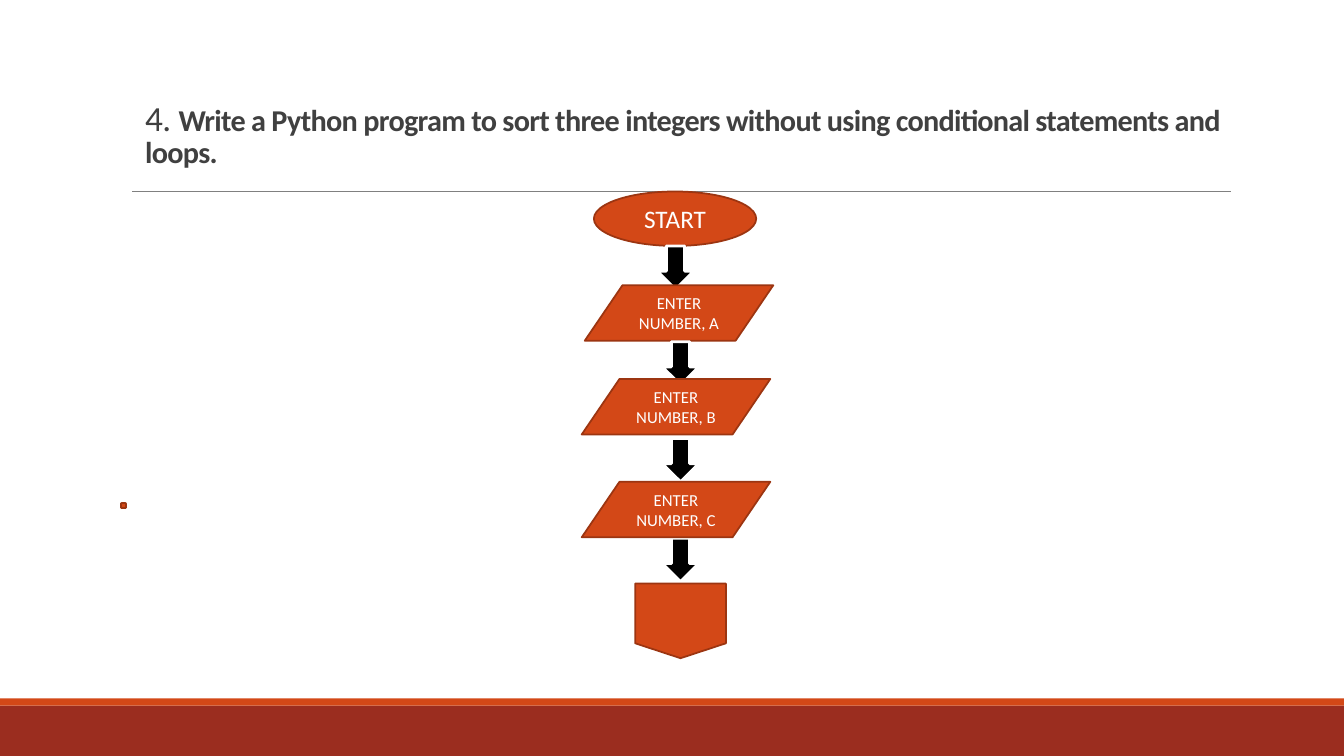
from dataclasses import dataclass
from lxml import etree
from pptx import Presentation
from pptx.dml.color import RGBColor
from pptx.enum.shapes import MSO_CONNECTOR, MSO_SHAPE
from pptx.enum.text import MSO_ANCHOR, MSO_AUTO_SIZE, PP_ALIGN
from pptx.oxml.ns import qn
from pptx.util import Inches, Pt

RECT = MSO_SHAPE.RECTANGLE
OVAL = MSO_SHAPE.OVAL
ARROW = MSO_SHAPE.DOWN_ARROW
INPUT = MSO_SHAPE.FLOWCHART_DATA
PAGE = MSO_SHAPE.FLOWCHART_OFFPAGE_CONNECTOR
DOT = MSO_SHAPE.FLOWCHART_ALTERNATE_PROCESS
STRAIGHT = MSO_CONNECTOR.STRAIGHT
LEFT, CENTER = PP_ALIGN.LEFT, PP_ALIGN.CENTER
BOTTOM, MIDDLE = MSO_ANCHOR.BOTTOM, MSO_ANCHOR.MIDDLE
NO_FIT = MSO_AUTO_SIZE.NONE


@dataclass(frozen=True)
class Theme:
    font: str = "Calibri"
    fill: str = "D34817"
    edge: str = "9C3511"
    foot: str = "9B2D1F"
    rule: str = "808080"
    title: str = "404040"
    black: str = "000000"
    white: str = "FFFFFF"
    lead: float = 25.2
    head: float = 21.6
    big: float = 18
    small: float = 12


@dataclass(frozen=True)
class Style:
    fill: str
    edge: str = ""
    width: float = 0


@dataclass(frozen=True)
class Node:
    kind: int
    left: float
    top: float
    width: float
    height: float
    style: Style
    text: str = ""
    size: float = 0


THEME = Theme()
BOX = Style(THEME.fill, THEME.edge, 1.25)
FLOW = Style(THEME.black, THEME.white, 2)


def color(code: str) -> RGBColor:
    return RGBColor.from_string(code)


def draw(slide, node: Node) -> None:
    shape = slide.shapes.add_shape(
        node.kind, Inches(node.left), Inches(node.top),
        Inches(node.width), Inches(node.height))
    shape.shadow.inherit = False
    shape.fill.solid()
    shape.fill.fore_color.rgb = color(node.style.fill)
    if node.style.edge:
        shape.line.color.rgb = color(node.style.edge)
        shape.line.width = Pt(node.style.width)
    else:
        shape.line.fill.background()
    if node.text:
        frame = shape.text_frame
        frame.word_wrap = True
        frame.vertical_anchor = MIDDLE
        para = frame.paragraphs[0]
        para.text = node.text
        para.alignment = CENTER
        para.font.name = THEME.font
        para.font.size = Pt(node.size)
        para.font.color.rgb = color(THEME.white)


def draw_rule(slide) -> None:
    rule = slide.shapes.add_connector(
        STRAIGHT, Inches(1.31), Inches(1.9), Inches(12.21), Inches(1.9))
    rule.line.color.rgb = color(THEME.rule)
    rule.line.width = Pt(0.5)
    etree.SubElement(rule._element.spPr, qn("a:effectLst"))


def set_title(slide) -> None:
    title = slide.shapes.title
    title.left, title.top = Inches(1.34), Inches(0.69)
    title.width, title.height = Inches(11), Inches(1.04)
    frame = title.text_frame
    frame.word_wrap = True
    frame.auto_size = NO_FIT
    frame.vertical_anchor = BOTTOM
    para = frame.paragraphs[0]
    para.alignment = LEFT
    para.line_spacing = 0.85
    parts = (
        ("4. ", THEME.lead, False),
        ("Write a Python program to sort three integers without using "
         "conditional statements and loops.", THEME.head, True),
    )
    for text, size, bold in parts:
        run = para.add_run()
        run.text = text
        run.font.name = THEME.font
        run.font.size = Pt(size)
        run.font.bold = bold
        run.font.color.rgb = color(THEME.title)
        run._r.get_or_add_rPr().set("spc", "-50")  # tight letters


def arrow(left: float, top: float) -> Node:
    return Node(ARROW, left, top, 0.36, 0.43, FLOW)


def entry(name: str, left: float, top: float) -> Node:
    return Node(INPUT, left, top, 1.87, 0.55, BOX,
                f"ENTER NUMBER, {name}", THEME.small)


deck = Presentation()
deck.slide_width, deck.slide_height = Inches(13.33), Inches(7.5)
slide = deck.slides.add_slide(deck.slide_layouts[5])

# Title and frame
set_title(slide)
draw(slide, Node(RECT, 0, 7, 13.33, 0.5, Style(THEME.foot)))
draw(slide, Node(RECT, 0, 6.93, 13.33, 0.07, Style(THEME.fill)))
draw_rule(slide)

# Flowchart, from back to front
nodes = [
    Node(DOT, 1.2, 4.99, 0.05, 0.05, BOX),
    Node(OVAL, 5.89, 1.9, 1.61, 0.54, BOX, "START", THEME.big),
    arrow(6.52, 2.44),
    entry("A", 5.8, 2.83),
    *(arrow(6.57, top) for top in (3.39, 4.35, 5.34)),
    Node(PAGE, 6.3, 5.79, 0.9, 0.74, BOX),
    entry("B", 5.77, 3.76),
    entry("C", 5.77, 4.78),
]
for node in nodes:
    draw(slide, node)

deck.save("out.pptx")
